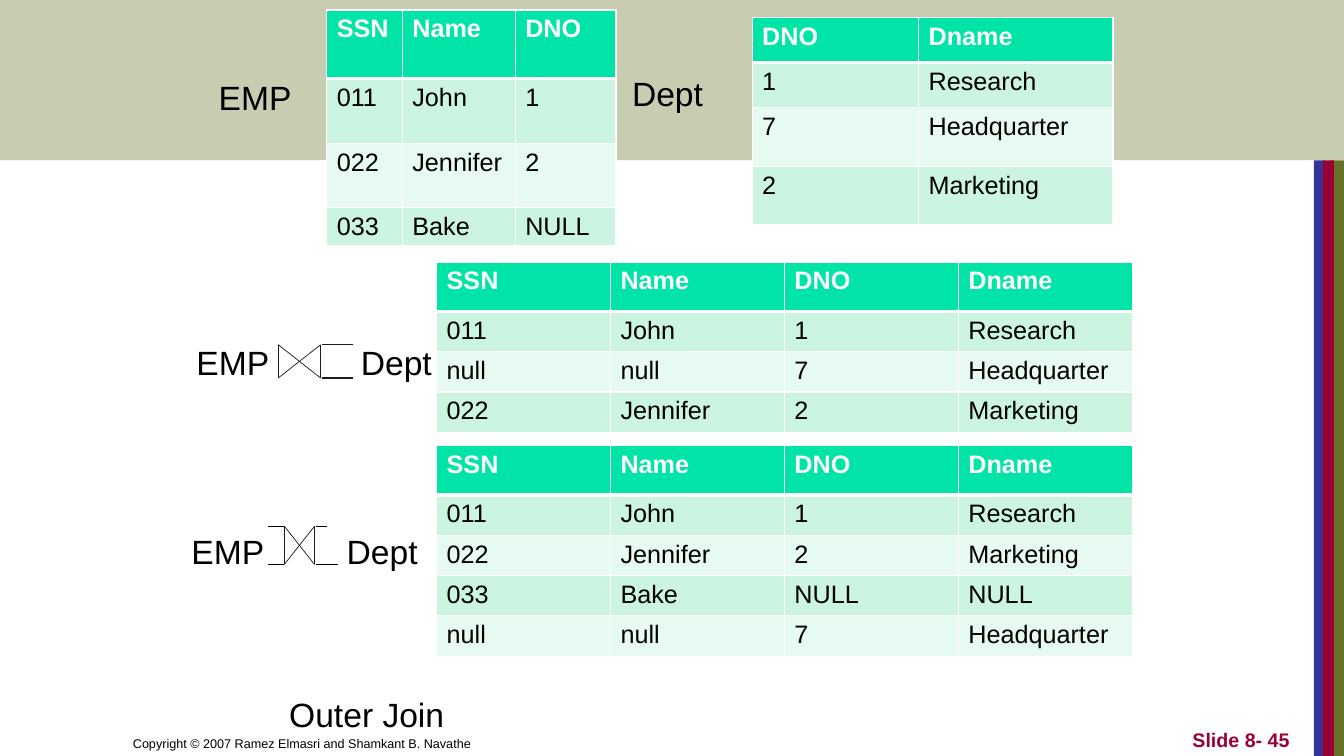
"""Builds the outer join slide with its source and result tables."""
from lxml.etree import SubElement
from pptx import Presentation
from pptx.dml.color import RGBColor
from pptx.enum.shapes import MSO_CONNECTOR, MSO_SHAPE
from pptx.enum.text import MSO_ANCHOR as Anchor, PP_ALIGN as Align
from pptx.oxml.ns import qn
from pptx.util import Inches, Pt

COLORS = {
    "olive": "677228", "blue": "333399", "crimson": "990033",
    "header": "00E4A8", "band": "CBF5E1", "pale": "E7FAF1",
    "white": "FFFFFF", "black": "000000", "ink": "1C1C1C",
}


def style_font(paragraph, size, color, bold=False):
    font = paragraph.font
    font.name, font.size, font.bold = "Arial", Pt(size), bold
    font.color.rgb = RGBColor.from_string(COLORS[color])


def add_text(text, left, top, width, height, size=24, color="black", bold=False,
             align=Align.LEFT, anchor=Anchor.TOP, tab=None):
    frame = slide.shapes.add_textbox(
        Inches(left), Inches(top), Inches(width), Inches(height)).text_frame
    frame.word_wrap = True
    frame.vertical_anchor = anchor
    paragraph = frame.paragraphs[0]
    paragraph.text = text
    paragraph.alignment = align
    if tab:
        tabs = SubElement(paragraph._p.get_or_add_pPr(), qn("a:tabLst"))
        SubElement(tabs, qn("a:tab"), pos=str(Inches(tab)), algn="l")
    style_font(paragraph, size, color, bold)


presentation = Presentation()
presentation.slide_width = Inches(13.33)
presentation.slide_height = Inches(7.5)
slide = presentation.slides.add_slide(presentation.slide_layouts[6])

bars = [
    (13.19, 1.59, 0.14, 5.91, "olive", 100),
    (13.03, 1.59, 0.11, 5.91, "blue", 100),
    (13.12, 1.59, 0.11, 5.91, "crimson", 100),
    (0, 0, 13.33, 1.59, "olive", 36),
]
for left, top, width, height, color, opacity in bars:
    bar = slide.shapes.add_shape(
        MSO_SHAPE.RECTANGLE, Inches(left), Inches(top), Inches(width), Inches(height))
    bar.shadow.inherit = False
    bar.line.fill.background()
    bar.fill.solid()
    bar.fill.fore_color.rgb = RGBColor.from_string(COLORS[color])
    if opacity < 100:
        fill_color = bar._element.spPr.find(qn("a:solidFill"))[0]
        SubElement(fill_color, qn("a:alpha"), val=str(opacity * 1000))

joined_header = ["SSN", "Name", "DNO", "Dname"]
joined_columns = [6.9 / 4] * 4
tables = [
    (3.24, 0.1, [0.75, 1.12, 1], [0.68, 0.64, 0.64, 0.38], [
        ["SSN", "Name", "DNO"],
        ["011", "John", "1"],
        ["022", "Jennifer", "2"],
        ["033", "Bake", "NULL"]]),
    (7.46, 0.17, [1.65, 1.93], [0.45, 0.45, 0.58, 0.58], [
        ["DNO", "Dname"],
        ["1", "Research"],
        ["7", "Headquarter"],
        ["2", "Marketing"]]),
    (4.33, 2.6, joined_columns, [0.49] + [0.4] * 3, [
        joined_header,
        ["011", "John", "1", "Research"],
        ["null", "null", "7", "Headquarter"],
        ["022", "Jennifer", "2", "Marketing"]]),
    (4.33, 4.42, joined_columns, [0.49] + [0.4] * 4, [
        joined_header,
        ["011", "John", "1", "Research"],
        ["022", "Jennifer", "2", "Marketing"],
        ["033", "Bake", "NULL", "NULL"],
        ["null", "null", "7", "Headquarter"]]),
]
for left, top, widths, heights, records in tables:
    table = slide.shapes.add_table(
        len(heights), len(widths), Inches(left), Inches(top),
        Inches(sum(widths)), Inches(sum(heights))).table
    for column, width in zip(table.columns, widths):
        column.width = Inches(width)
    for row_index, record in enumerate(records):
        table.rows[row_index].height = Inches(heights[row_index])
        is_header = row_index == 0
        fill = "header" if is_header else "band" if row_index % 2 else "pale"
        borders = {"L": 1, "R": 1, "T": 3 if row_index == 1 else 1, "B": 3 if is_header else 1}
        for column_index, value in enumerate(record):
            cell = table.cell(row_index, column_index)
            cell.text = value
            style_font(cell.text_frame.paragraphs[0], 18,
                       "white" if is_header else "black", is_header)
            properties = cell._tc.get_or_add_tcPr()
            for side, weight in borders.items():
                border = SubElement(properties, qn(f"a:ln{side}"), w=str(Pt(weight)))
                border_fill = SubElement(border, qn("a:solidFill"))
                SubElement(border_fill, qn("a:srgbClr"), val=COLORS["white"])
            cell.fill.solid()
            cell.fill.fore_color.rgb = RGBColor.from_string(COLORS[fill])

add_text("EMP", 2.07, 0.71, 1.18, 0.51)
add_text("Dept", 6.17, 0.67, 1.29, 0.51)
add_text("EMP\tDept", 1.85, 3.34, 2.88, 0.5, tab=1.63)
add_text("EMP\tDept", 1.8, 5.22, 2.88, 0.5, tab=1.54)
add_text("Outer Join", 2.77, 6.83, 3.73, 0.51)
add_text("Copyright © 2007 Ramez Elmasri and Shamkant B. Navathe",
         1.22, 7, 6.56, 0.5, size=9, anchor=Anchor.BOTTOM)
add_text("Slide 8- 45", 10.11, 7, 2.78, 0.5, size=14, color="crimson", bold=True,
         align=Align.RIGHT, anchor=Anchor.BOTTOM)

join_symbols = [
    (2.76, 3.18, 3.42, 3.75, "ink", [(3.19, 3.5, 3.42), (3.19, 3.5, 3.75)]),
    (2.82, 3.12, 5.22, 5.6, "black", [
        (3.13, 3.35, 5.6), (2.66, 2.82, 5.22), (2.66, 2.82, 5.6), (3.13, 3.24, 5.22)]),
]
for left, right, top, bottom, tail_color, tails in join_symbols:
    bowtie = [(left, left), (right, right), (left, right), (right, left)]
    strokes = [(start, top, end, bottom, "ink", 0.5) for start, end in bowtie]
    strokes += [(start, y, end, y, tail_color, 0.75) for start, end, y in tails]
    for x1, y1, x2, y2, color, weight in strokes:
        stroke = slide.shapes.add_connector(
            MSO_CONNECTOR.STRAIGHT, Inches(x1), Inches(y1), Inches(x2), Inches(y2))
        stroke.line.width = Pt(weight)
        stroke.line.color.rgb = RGBColor.from_string(COLORS[color])
        SubElement(stroke._element.spPr, qn("a:effectLst"))

presentation.save("out.pptx")
